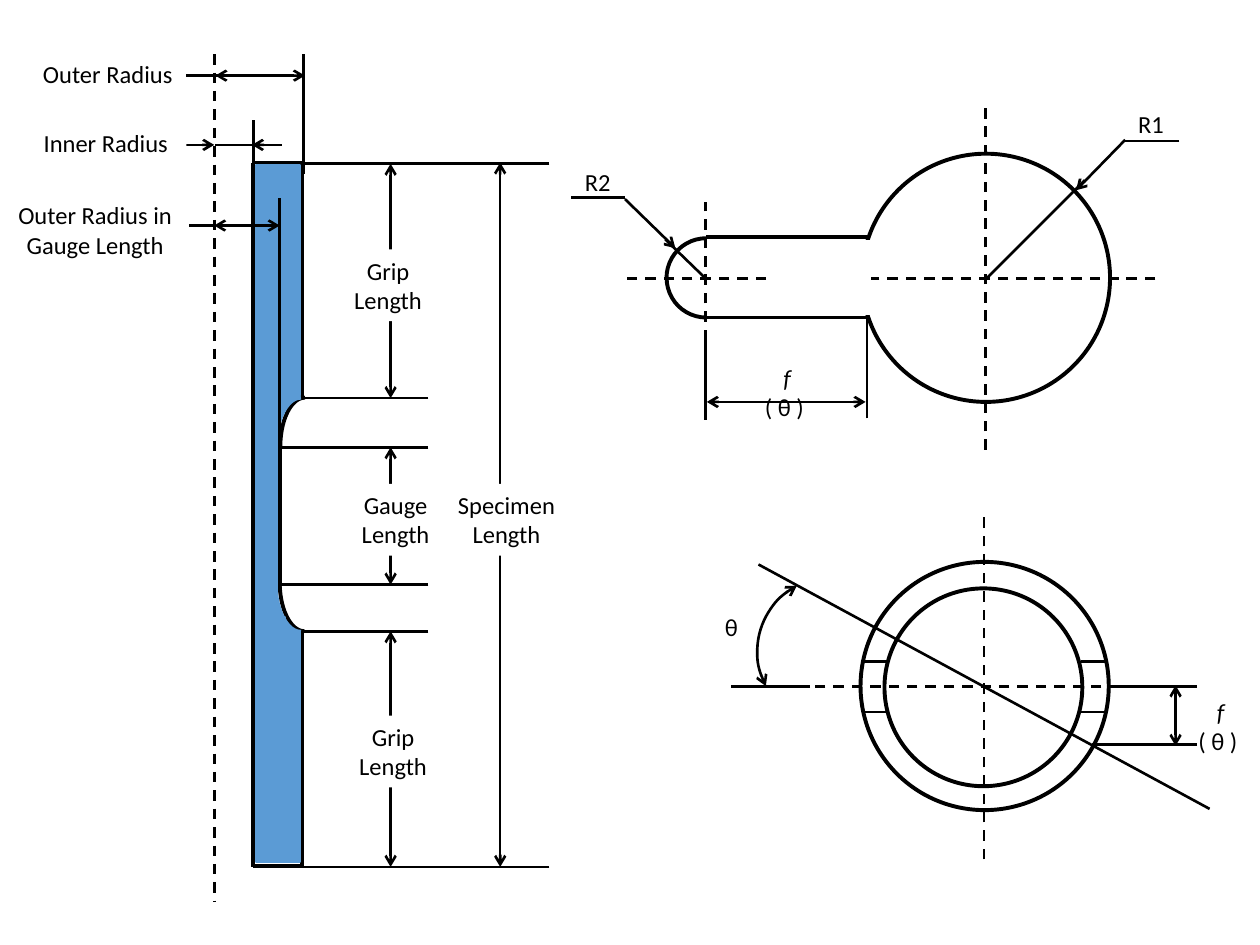
"""Draw a tubular test specimen with its dimensions, slot outline and section."""
from lxml.etree import SubElement
from pptx import Presentation
from pptx.dml.color import RGBColor
from pptx.enum.dml import MSO_LINE
from pptx.enum.shapes import MSO_CONNECTOR as CONN, MSO_SHAPE as SHAPE
from pptx.enum.text import MSO_AUTO_SIZE as AUTO, PP_ALIGN as ALIGN
from pptx.oxml.ns import qn
from pptx.util import Inches, Pt

BLACK, WHITE, BLUE = "000000", "FFFFFF", "5B9BD5"
THIN, THICK = 1.5, 2.25


def color(target, value):
    if value is None:
        target.background()
        return
    if hasattr(target, "solid"):
        target.solid()
        target.fore_color.rgb = RGBColor.from_string(value)
    else:
        target.color.rgb = RGBColor.from_string(value)


def arrows(sp, ends):
    ln = sp.line._get_or_add_ln()
    for end in ends:
        SubElement(ln, qn(f"a:{end}End"), type="arrow")


def line(s, x1, y1, x2, y2, width=THIN, dash=False, ends=()):
    sp = s.shapes.add_connector(CONN.STRAIGHT, *map(Inches, (x1, y1, x2, y2)))
    color(sp.line, BLACK)
    sp.line.width = Pt(width)
    if dash:
        sp.line.dash_style = MSO_LINE.DASH
    arrows(sp, ends)
    SubElement(sp._element.spPr, qn("a:effectLst"))


def dimension(s, x1, y1, x2, y2):
    line(s, x1, y1, x2, y2, ends=("head", "tail"))


def shape(s, kind, x, y, w, h, fill=None, stroke=BLACK, width=THICK, rot=0, ends=()):
    sp = s.shapes.add_shape(kind, *map(Inches, (x, y, w, h)))
    sp.shadow.inherit = False
    sp.rotation = rot
    color(sp.fill, fill)
    color(sp.line, stroke)
    sp.line.width = Pt(width)
    arrows(sp, ends)


def block(s, x, y, w, h, fill=BLUE):
    shape(s, SHAPE.RECTANGLE, x, y, w, h, fill, fill, 1)


def add_run(p, text, size=14, font="Calibri", hue=BLACK, italic=False):
    r = p.add_run()
    r.text = text
    r.font.size, r.font.name, r.font.italic = Pt(size), font, italic
    r.font.color.rgb = RGBColor.from_string(hue)


def label(s, x, y, w, h, *parts, fill=None):
    sp = s.shapes.add_textbox(*map(Inches, (x, y, w, h)))
    color(sp.fill, fill)
    tf = sp.text_frame
    tf.word_wrap = True
    tf.auto_size = AUTO.SHAPE_TO_FIT_TEXT
    p = tf.paragraphs[0]
    p.alignment = ALIGN.CENTER
    for text in parts:
        add_run(p, text, italic=text.startswith("f"))


def draw_wall(s):
    line(s, 1.7, 0.43, 1.7, 7.16, dash=True)
    shape(s, SHAPE.ARC, 2.03, 3.35, 0.78, 0.39, rot=270)
    shape(s, SHAPE.ARC, 2.22, 4.23, 0.39, 0.78, rot=180)
    for ends in ((2.01, 1.29, 2.01, 6.88), (2.4, 1.29, 2.01, 1.29),
                 (2.41, 6.87, 2.01, 6.87), (2.4, 1.29, 2.4, 3.16),
                 (2.4, 5.01, 2.4, 6.87), (2.22, 3.54, 2.22, 4.63)):
        line(s, *ends, width=THICK)
    for top, bottom, inner in ((3.55, 4.64, 2.22), (1.3, 3.16, 2.41), (5.01, 6.88, 2.41)):
        dimension(s, 3.1, top, 3.1, bottom)
        for y in (top, bottom):
            line(s, 3.4, y, inner, y)
    for y in (1.31, 5.01):
        block(s, 2.03, y, 0.35, 1.83)
    block(s, 2.03, 3.56, 0.16, 1.07)
    shape(s, SHAPE.ARC, 1.96, 3.33, 0.85, 0.45, stroke=BLUE, width=6, rot=270)
    shape(s, SHAPE.ARC, 2.16, 4.21, 0.45, 0.83, stroke=BLUE, width=6, rot=180)
    block(s, 2.03, 3.12, 0.17, 2.14)
    for y in (4.9, 2.16):
        block(s, 2.1, y, 0.16, 1.07)


def draw_wall_dimensions(s):
    line(s, 2.01, 1.34, 2.01, 0.95)
    line(s, 2.41, 1.38, 2.41, 0.43)
    dimension(s, 1.71, 0.6, 2.42, 0.6)
    for y in (1.3, 6.88):
        line(s, 4.36, y, 3.1, y)
    dimension(s, 3.97, 6.88, 3.97, 1.29)
    line(s, 0.91, 1.15, 1.7, 1.15, ends=("tail",))
    line(s, 2, 1.15, 2.24, 1.15, ends=("head",))
    line(s, 1.71, 1.15, 2.02, 1.15)
    line(s, 2.22, 3.73, 2.22, 1.57)
    line(s, 0.93, 1.79, 1.71, 1.79)
    dimension(s, 1.7, 1.79, 2.22, 1.79)
    for x, y, w, h, text in ((2.59, 3.84, 1.1, 0.57, "Gauge Length"),
                             (3.43, 3.84, 1.18, 0.57, "Specimen Length"),
                             (2.67, 1.98, 0.82, 0.57, "Grip Length"),
                             (2.71, 5.68, 0.82, 0.57, "Grip Length"),
                             (0.2, 0.97, 1.28, 0.34, "Inner Radius"),
                             (0.23, 0.42, 1.25, 0.34, "Outer Radius"),
                             (0.01, 1.54, 1.49, 0.57, "Outer Radius in Gauge Length")):
        label(s, x, y, w, h, text, fill=WHITE)
    line(s, 1.48, 0.6, 2.27, 0.6)


def draw_slot(s):
    shape(s, SHAPE.OVAL, 6.84, 1.22, 1.97, 1.97, fill=WHITE)
    for y in (1.88, 2.52):
        line(s, 6.89, y, 5.6, y, width=THICK)
    for rot in (180, 270):
        shape(s, SHAPE.ARC, 5.29, 1.89, 0.63, 0.63, rot=rot)
    line(s, 5.6, 2.7, 5.6, 1.6, dash=True)
    line(s, 7.82, 3.57, 7.82, 0.81, dash=True)
    line(s, 9.17, 2.21, 6.77, 2.21, dash=True)
    block(s, 6.08, 1.91, 0.83, 0.58, fill=WHITE)
    line(s, 6.08, 2.21, 4.96, 2.21, dash=True)
    line(s, 4.96, 1.58, 5.36, 1.97, ends=("tail",))
    line(s, 5.6, 2.21, 5.28, 1.9)
    line(s, 4.96, 1.57, 4.53, 1.57)
    line(s, 8.93, 1.11, 8.54, 1.51, ends=("tail",))
    line(s, 8.61, 1.43, 7.82, 2.22)
    line(s, 9.36, 1.12, 8.93, 1.12)
    line(s, 6.88, 3.32, 6.88, 2.5)
    line(s, 5.6, 3.33, 5.6, 2.7)
    dimension(s, 6.87, 3.19, 5.61, 3.19)
    label(s, 8.92, 0.82, 0.43, 0.34, "R1")
    label(s, 4.53, 1.28, 0.43, 0.34, "R2")
    label(s, 5.9, 2.83, 0.65, 0.34, " ", "f ", "( θ )")


def draw_section(s):
    shape(s, SHAPE.OVAL, 6.83, 4.46, 1.97, 1.97)
    shape(s, SHAPE.OVAL, 7.02, 4.67, 1.57, 1.57, fill=WHITE)
    line(s, 9.18, 5.45, 6.26, 5.45, dash=True)
    line(s, 7.81, 6.82, 7.81, 4.06, dash=True)
    for x in (6.85, 8.58):
        for y in (5.25, 5.65):
            line(s, x + 0.2, y, x, y)
    line(s, 9.6, 6.42, 6.02, 4.48)
    line(s, 6.43, 5.45, 5.8, 5.45)
    shape(s, SHAPE.ARC, 6.01, 4.58, 1.18, 1.18, width=THIN, rot=242.2, ends=("head", "tail"))
    label(s, 5.48, 4.81, 0.65, 0.34, " θ ")
    label(s, 9.34, 5.48, 0.65, 0.34, " ", "f ", "( θ )")
    line(s, 9.5, 5.91, 8.67, 5.91)
    line(s, 9.5, 5.45, 8.83, 5.45)
    dimension(s, 9.33, 5.44, 9.33, 5.92)


def main():
    prs = Presentation()
    prs.slide_width, prs.slide_height = Inches(10), Inches(7.5)
    s = prs.slides.add_slide(prs.slide_layouts[6])
    for draw in (draw_wall, draw_wall_dimensions, draw_slot, draw_section):
        draw(s)
    prs.save("out.pptx")


main()
